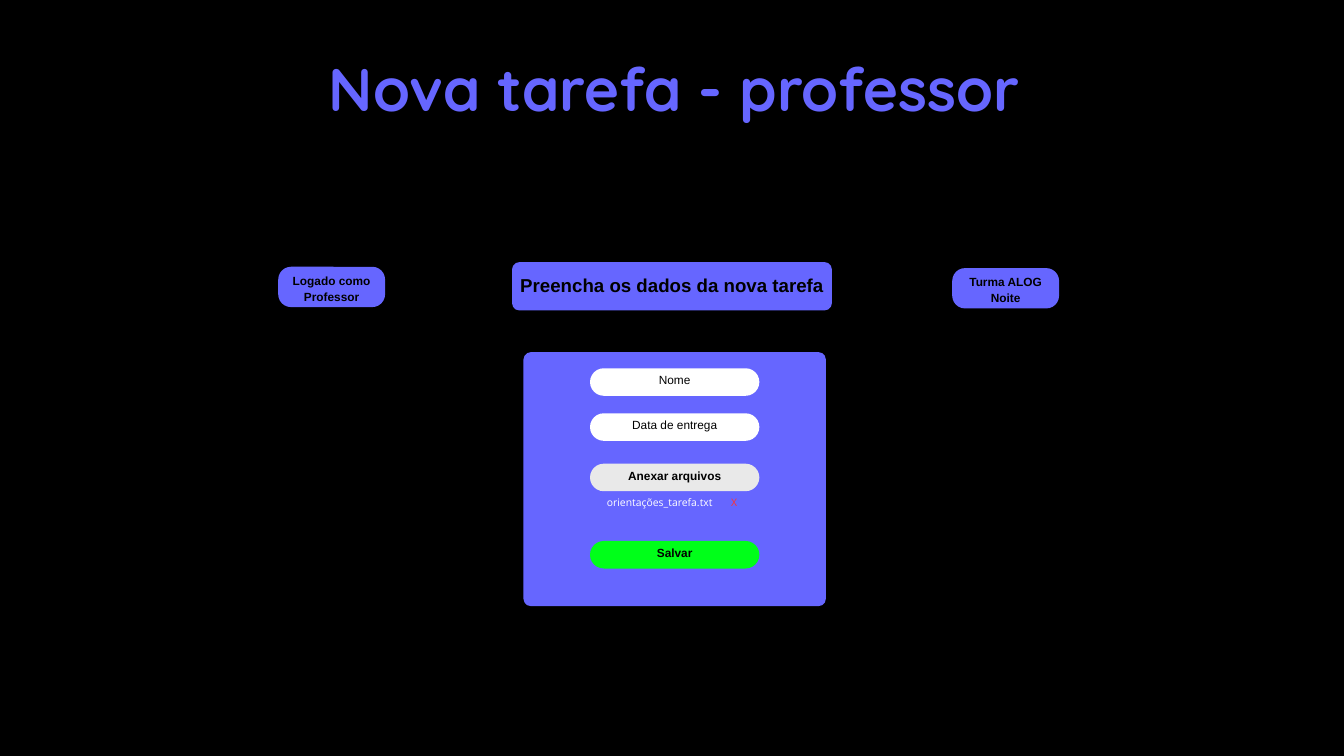
from dataclasses import dataclass

from lxml.etree import SubElement
from pptx import Presentation
from pptx.dml.color import RGBColor
from pptx.enum.shapes import MSO_SHAPE
from pptx.enum.text import MSO_ANCHOR, PP_ALIGN
from pptx.oxml.ns import qn
from pptx.util import Inches, Pt


@dataclass(frozen=True)
class Theme:
    black: str = "000000"
    violet: str = "6666FF"
    white: str = "FFFFFF"
    grey: str = "E9E9E9"
    green: str = "00FF19"
    red: str = "FF3131"
    title_size: float = 64.5
    heading_size: float = 20
    label_size: float = 12.7
    file_size: float = 11.1


THEME = Theme()


@dataclass(frozen=True)
class Area:
    left: float
    top: float
    width: float
    height: float

    def lengths(self) -> list:
        return [Inches(n) for n in (self.left, self.top, self.width, self.height)]


@dataclass(frozen=True)
class Style:
    size: float
    spacing: float
    color: str = THEME.black
    bold: bool = True
    name: str = "Arial"
    inset: float = 0.05
    anchor: MSO_ANCHOR = MSO_ANCHOR.MIDDLE
    align: PP_ALIGN = PP_ALIGN.CENTER


@dataclass(frozen=True)
class Button:
    label: str
    area: Area
    radius: float
    fill: str
    style: Style
    lift: float = 0.09


TITLE = Style(THEME.title_size, 90.3, THEME.violet, name="Quicksand",
              inset=0, anchor=MSO_ANCHOR.TOP)
HEADING = Style(THEME.heading_size, 27.9)
BADGE = Style(THEME.label_size, 17.1, anchor=MSO_ANCHOR.BOTTOM)
FIELD = Style(THEME.label_size, 17.8, bold=False)
ACTION = Style(THEME.label_size, 17.8)
FILE = Style(THEME.file_size, 15.5, THEME.white, False, "Open Sans", 0,
             MSO_ANCHOR.TOP, PP_ALIGN.LEFT)


def apply(target, values: dict) -> None:
    for name, value in values.items():
        setattr(target, name, value)


def add_span(para, text: str, style: Style, color: str) -> None:
    span = para.add_run()
    span.text = text
    apply(span.font, {"name": style.name, "size": Pt(style.size), "bold": style.bold})
    span.font.color.rgb = RGBColor.from_string(color)


def add_text(shapes, text: str, area: Area, style: Style):
    box = shapes.add_textbox(*area.lengths())
    inset = Inches(style.inset)
    apply(box.text_frame, {
        "word_wrap": True, "vertical_anchor": style.anchor,
        "margin_left": inset, "margin_right": inset,
        "margin_top": inset, "margin_bottom": inset,
    })
    para = box.text_frame.paragraphs[0]
    apply(para, {"alignment": style.align, "line_spacing": Pt(style.spacing)})
    add_span(para, text, style, style.color)
    return para


def add_panel(shapes, area: Area, radius: float, fill: str) -> None:
    panel = shapes.add_shape(MSO_SHAPE.ROUNDED_RECTANGLE, *area.lengths())
    panel.adjustments[0] = radius / min(area.width, area.height)
    panel.shadow.inherit = False
    panel.fill.solid()
    panel.fill.fore_color.rgb = RGBColor.from_string(fill)
    panel.line.fill.background()


def add_button(shapes, button: Button) -> None:
    group = shapes.add_group_shape()
    area = button.area
    add_panel(group.shapes, area, button.radius, button.fill)
    text_area = Area(area.left, area.top - button.lift,
                     area.width, area.height + button.lift)
    add_text(group.shapes, button.label, text_area, button.style)


def form_button(label: str, top: float, fill: str, style: Style) -> Button:
    return Button(label, Area(8.78, top, 2.52, 0.41), 0.205, fill, style)


def badge(label: str, left: float, top: float) -> Button:
    return Button(label, Area(left, top, 1.59, 0.6), 0.19, THEME.violet, BADGE)


def add_file_row(shapes) -> None:
    para = add_text(shapes, "orientações_tarefa.txt", Area(9.03, 7.35, 2.02, 0.2), FILE)
    # A tab stop sets the delete mark apart from the file name
    stops = SubElement(para._p.get_or_add_pPr(), qn("a:tabLst"))
    SubElement(stops, qn("a:tab"), pos=str(Inches(1.85)), algn="l")
    add_span(para, "\tX", FILE, THEME.red)


def main() -> None:
    deck = Presentation()
    apply(deck, {"slide_width": Inches(20), "slide_height": Inches(11.25)})
    page = deck.slides.add_slide(deck.slide_layouts[6])
    page.background.fill.solid()
    page.background.fill.fore_color.rgb = RGBColor.from_string(THEME.black)
    shapes = page.shapes

    # Title
    add_text(shapes, "Nova tarefa - professor", Area(3.78, 0.58, 12.51, 1.2), TITLE)

    # Header row
    add_button(shapes, Button("Preencha os dados da nova tarefa",
                              Area(7.62, 3.9, 4.76, 0.72), 0.11, THEME.violet, HEADING))
    add_button(shapes, badge("Logado como Professor", 4.14, 3.97))
    add_button(shapes, badge("Turma ALOG Noite", 14.17, 3.99))

    # Form
    add_panel(shapes, Area(7.79, 5.24, 4.5, 3.78), 0.11, THEME.violet)
    for button in (
        form_button("Nome", 5.48, THEME.white, FIELD),
        form_button("Data de entrega", 6.15, THEME.white, FIELD),
        form_button("Anexar arquivos", 6.9, THEME.grey, ACTION),
        form_button("Salvar", 8.05, THEME.green, ACTION),
    ):
        add_button(shapes, button)
    add_file_row(shapes)

    deck.save("out.pptx")


if __name__ == "__main__":
    main()
